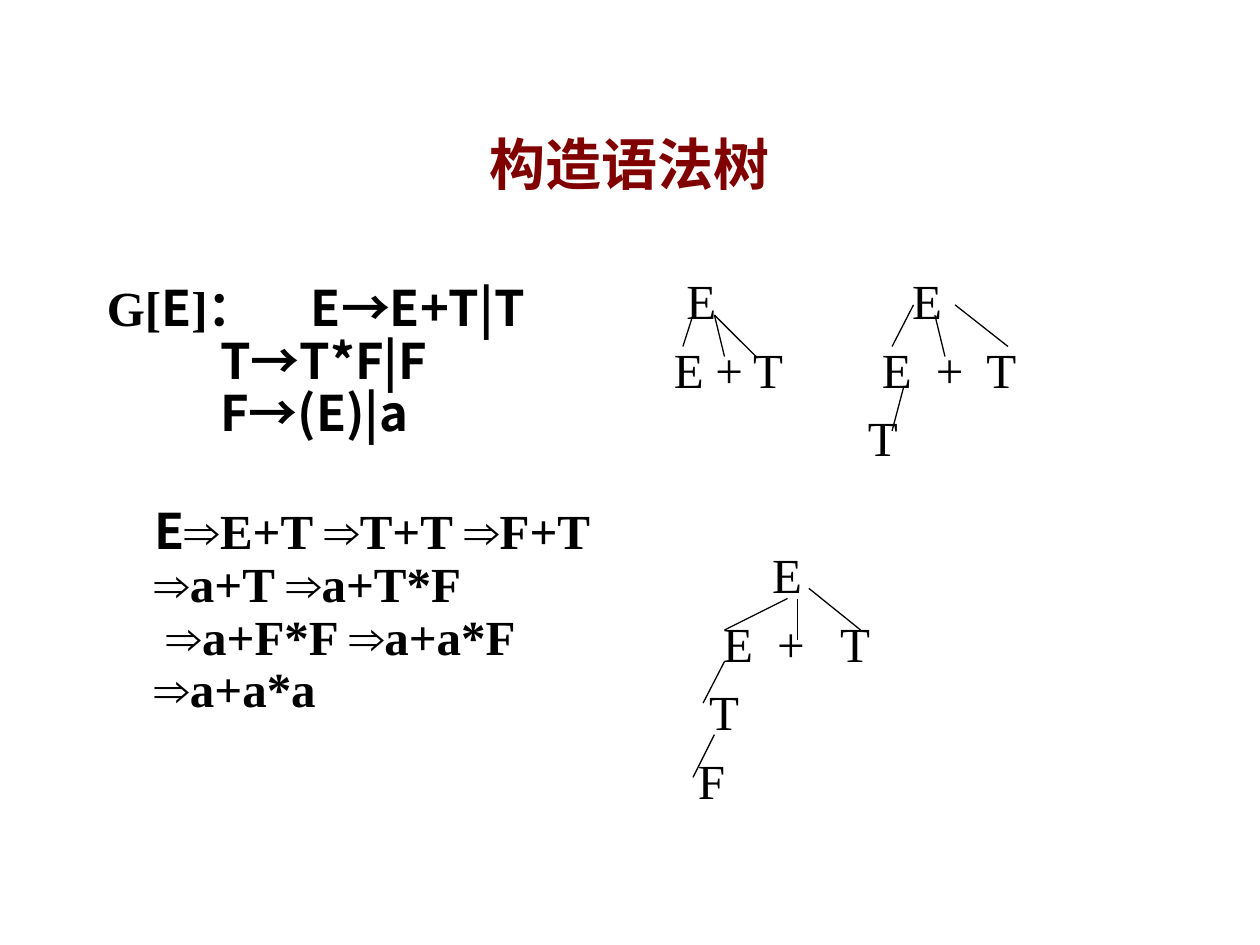
from dataclasses import dataclass

from lxml import etree
from pptx import Presentation
from pptx.dml.color import RGBColor
from pptx.enum import shapes, text
from pptx.oxml import ns
from pptx.util import Inches, Pt

SERIF = "Times New Roman"
SANS = "Noto Sans CJK SC"
BLACK = RGBColor(0x00, 0x00, 0x00)
MAROON = RGBColor(0x80, 0x00, 0x00)


@dataclass
class Style:
    size: float = 28
    color: RGBColor = BLACK
    bold: bool = False
    line_height: float | None = None


@dataclass
class Line:
    runs: list[tuple[str, str]]
    tabs: tuple[float, ...] = ()
    margin: float = 0
    before: float = 0


@dataclass
class Branch:
    start: tuple[float, float]
    end: tuple[float, float]


TITLE_STYLE = Style(32, MAROON, bold=True)
GRAMMAR_STYLE = Style(bold=True, line_height=30.15)
TREE_STYLE = Style(line_height=33.55)

RULE_TABS = (0.9, 1.62)
STEP_MARGIN = 0.38
GRAMMAR = [
    Line([("G[", SERIF), ("E", SANS), ("]：\t", SERIF), ("E→E+T|T", SANS)], RULE_TABS),
    Line([("\tT→T*F|F", SANS)], RULE_TABS),
    Line([("\tF→(E)|a", SANS)], RULE_TABS),
    Line([("E", SANS), ("⇒E+T ⇒T+T ⇒F+T", SERIF)], margin=STEP_MARGIN, before=37),
    Line([("⇒a+T ⇒a+T*F", SERIF)], margin=STEP_MARGIN),
    Line([(" ⇒a+F*F ⇒a+a*F", SERIF)], margin=STEP_MARGIN),
    Line([("⇒a+a*a", SERIF)], margin=STEP_MARGIN),
]

ROW_GAP = 5.6
SKIPPED_ROW = TREE_STYLE.line_height + 2 * ROW_GAP
TREE_ROWS = [
    Line([("\tE\tE", SERIF)], (0.1, 1.89)),
    Line([("E\t+\tT\tE\t+\tT", SERIF)], (0.33, 0.63, 1.65, 2.08, 2.48), before=ROW_GAP),
    Line([("\tT", SERIF)], (1.54,), before=ROW_GAP),
    Line([("\tE", SERIF)], (0.78,), before=SKIPPED_ROW),
    Line([("\tE\t+\tT", SERIF)], (0.39, 0.82, 1.32), before=ROW_GAP),
    Line([("\tT", SERIF)], (0.28,), before=ROW_GAP),
    Line([("\tF", SERIF)], (0.19,), before=ROW_GAP),
]

BRANCHES = [
    # E => E + T
    Branch((5.5, 2.5), (5.42, 2.75)),
    Branch((5.67, 2.5), (5.75, 2.83)),
    Branch((5.67, 2.5), (6, 2.83)),
    # E => E + T => T + T
    Branch((7.25, 2.42), (7.08, 2.75)),
    Branch((7.42, 2.5), (7.5, 2.83)),
    Branch((7.58, 2.42), (8, 2.75)),
    Branch((7.17, 3.08), (7.08, 3.42)),
    # E => E + T => T + T => F + T
    Branch((6.25, 4.75), (5.75, 5)),
    Branch((6.33, 4.75), (6.33, 5.08)),
    Branch((6.42, 4.67), (6.83, 5)),
    Branch((5.75, 5.25), (5.58, 5.58)),
    Branch((5.67, 5.83), (5.5, 6.17)),
]


def add_tabs(paragraph, tabs: tuple[float, ...]) -> None:
    tab_list = etree.SubElement(paragraph._p.get_or_add_pPr(), ns.qn("a:tabLst"))
    for position in tabs:
        etree.SubElement(tab_list, ns.qn("a:tab"), pos=str(Inches(position)), algn="l")


def add_run(paragraph, wording: str, typeface: str) -> None:
    """Add a run whose East Asian characters use the sans typeface."""
    run = paragraph.add_run()
    run.text = wording
    run.font.name = typeface
    etree.SubElement(run._r.get_or_add_rPr(), ns.qn("a:ea"), typeface=SANS)


def add_text(slide, box: tuple[float, ...], lines: list[Line], style: Style,
             top_inset: float = 0.05):
    frame = slide.shapes.add_textbox(*map(Inches, box)).text_frame
    frame.word_wrap = True
    frame.margin_top = Inches(top_inset)
    for index, line in enumerate(lines):
        paragraph = frame.paragraphs[0] if index == 0 else frame.add_paragraph()
        if line.margin:
            paragraph._p.get_or_add_pPr().set("marL", str(Inches(line.margin)))
        if line.tabs:
            add_tabs(paragraph, line.tabs)
        if style.line_height:
            paragraph.line_spacing = Pt(style.line_height)
        if line.before:
            paragraph.space_before = Pt(line.before)
        for wording, typeface in line.runs:
            add_run(paragraph, wording, typeface)
        paragraph.font.size = Pt(style.size)
        paragraph.font.bold = style.bold
        paragraph.font.color.rgb = style.color
    return frame


def add_branch(slide, branch: Branch) -> None:
    connector = slide.shapes.add_connector(
        shapes.MSO_CONNECTOR.STRAIGHT, *map(Inches, branch.start + branch.end))
    connector.line.color.rgb = BLACK
    connector.line.width = Pt(0.75)
    etree.SubElement(connector._element.spPr, ns.qn("a:effectLst"))


def main() -> None:
    presentation = Presentation()
    presentation.slide_width = Inches(10)
    presentation.slide_height = Inches(7.5)
    slide = presentation.slides.add_slide(presentation.slide_layouts[6])

    title = add_text(slide, (0.75, 0.67, 8.5, 1.25),
                     [Line([("构造语法树", SERIF)])], TITLE_STYLE)
    title.vertical_anchor = text.MSO_ANCHOR.MIDDLE
    title.paragraphs[0].alignment = text.PP_ALIGN.CENTER

    add_text(slide, (0.75, 2.17, 4.17, 4.5), GRAMMAR, GRAMMAR_STYLE, top_inset=0.08)
    add_text(slide, (5.25, 2.08, 4.17, 4.5), TREE_ROWS, TREE_STYLE, top_inset=0.07)
    for branch in BRANCHES:
        add_branch(slide, branch)

    presentation.save("out.pptx")


if __name__ == "__main__":
    main()
